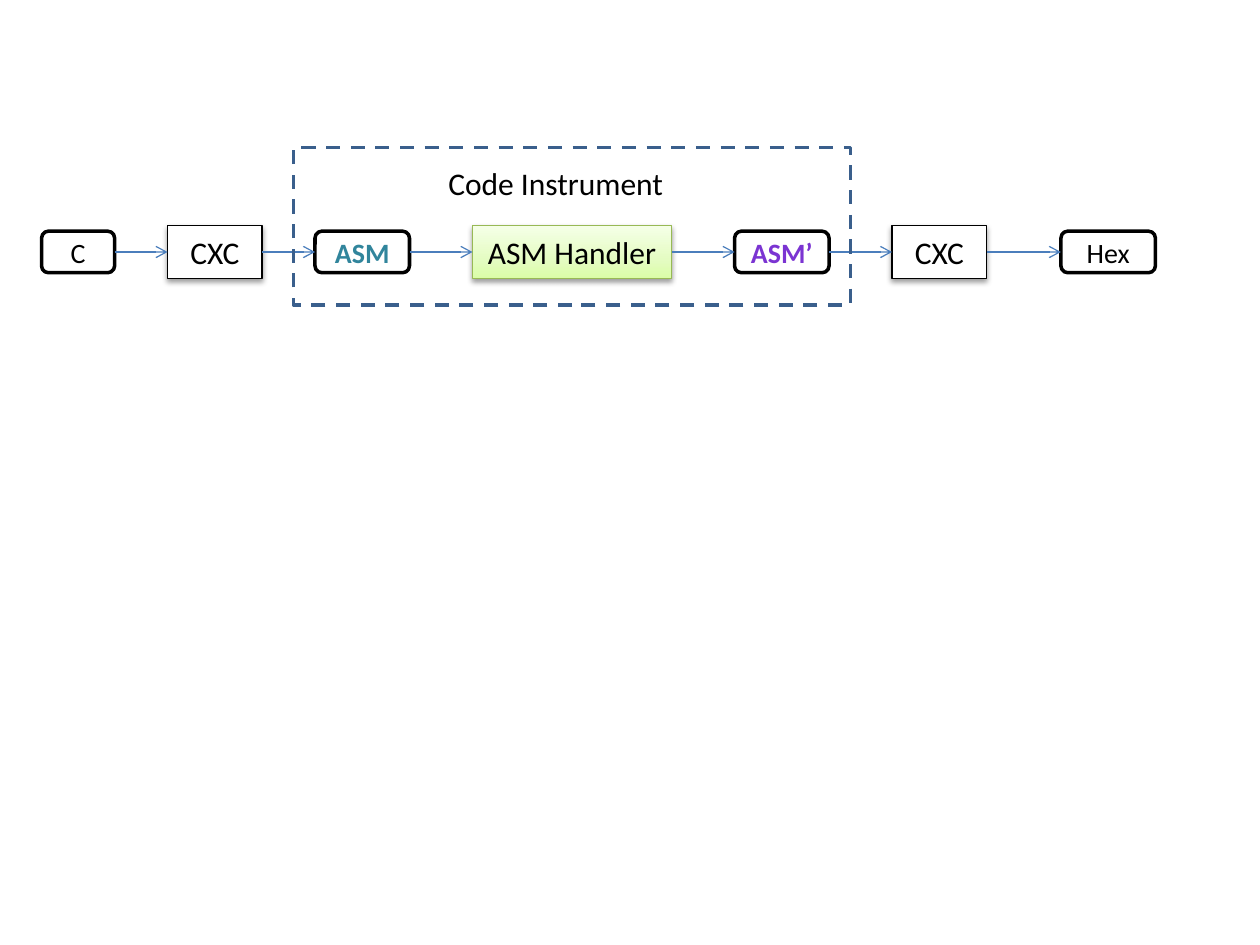
from pptx import Presentation
from pptx.dml.color import RGBColor
from pptx.enum.dml import MSO_LINE
from pptx.enum.shapes import MSO_CONNECTOR, MSO_SHAPE
from pptx.enum.text import MSO_ANCHOR, PP_ALIGN
from pptx.oxml import parse_xml
from pptx.oxml.ns import nsdecls
from pptx.util import Inches, Pt

RECTANGLE, ROUNDED = MSO_SHAPE.RECTANGLE, MSO_SHAPE.ROUNDED_RECTANGLE
STRAIGHT, DASH = MSO_CONNECTOR.STRAIGHT, MSO_LINE.DASH
CENTER, MIDDLE = PP_ALIGN.CENTER, MSO_ANCHOR.MIDDLE


class Theme:
    font = "Calibri"
    file_size, tool_size = Pt(16), Pt(18)
    black = RGBColor.from_string("000000")
    white = RGBColor.from_string("FFFFFF")
    teal = RGBColor.from_string("31859C")
    arrow = RGBColor.from_string("4B7EBC")
    frame = RGBColor.from_string("3A5F8C")
    handler_line = RGBColor.from_string("98B955")
    text_outline = "5E457C"
    green_stops = [(0, "DAFDA7"), (35, "E4FCC2"), (100, "F5FFE7")]
    purple_stops = [(0, "3D1B67"), (43, "7B34D2"), (48, "7330C4"), (100, "3D1B67")]


def drawing_xml(tag, body, attributes=""):
    """Return a DrawingML element with the given inner XML."""
    return parse_xml(f"<a:{tag} {nsdecls('a')} {attributes}>{body}</a:{tag}>")


def gradient(stops, angle):
    stop_xml = "".join(
        f'<a:gs pos="{position * 1000}"><a:srgbClr val="{color}"/></a:gs>'
        for position, color in stops
    )
    return drawing_xml(
        "gradFill",
        f'<a:gsLst>{stop_xml}</a:gsLst><a:lin ang="{angle * 60000}" scaled="0"/>',
        'rotWithShape="1"',
    )


presentation = Presentation()
presentation.slide_width, presentation.slide_height = Inches(10), Inches(7.5)
slide = presentation.slides.add_slide(presentation.slide_layouts[6])

# Pipeline: text, left, width, is a tool (otherwise a file)
compiler = "CXC"
steps = [
    ("C", 0.33, 0.58, False),
    (compiler, 1.33, 0.75, True),
    ("ASM", 2.5, 0.75, False),
    ("ASM Handler", 3.75, 1.58, True),
    ("ASM’", 5.83, 0.75, False),
    (compiler, 7.08, 0.75, True),
    ("Hex", 8.42, 0.75, False),
]
axis = 2

for text, left, width, is_tool in steps:
    height = 0.42 if is_tool else 0.33
    shape = slide.shapes.add_shape(
        RECTANGLE if is_tool else ROUNDED,
        Inches(left), Inches(axis - height / 2), Inches(width), Inches(height),
    )
    shape.shadow.inherit = False
    shape.line.color.rgb = Theme.black
    shape.line.width = Pt(0.75 if is_tool else 2)
    shape.fill.solid()
    shape.fill.fore_color.rgb = Theme.white

    frame = shape.text_frame
    frame.word_wrap = True
    frame.vertical_anchor = MIDDLE
    paragraph = frame.paragraphs[0]
    paragraph.alignment = CENTER
    run = paragraph.add_run()
    run.text = text
    paragraph.font.name = Theme.font
    paragraph.font.size = Theme.tool_size if is_tool else Theme.file_size
    paragraph.font.color.rgb = Theme.black

    properties = shape._element.spPr
    if is_tool:
        properties.find("{*}effectLst").append(drawing_xml(
            "outerShdw",
            '<a:srgbClr val="000000"><a:alpha val="38000"/></a:srgbClr>',
            'blurRad="40000" dist="20000" dir="5400000" rotWithShape="0"',
        ))
    if text == "ASM Handler":
        shape.line.color.rgb = Theme.handler_line
        solid_fill = properties.find("{*}solidFill")
        properties.replace(solid_fill, gradient(Theme.green_stops, 270))
    if text.startswith("ASM") and not is_tool:
        paragraph.font.bold = True
        run_properties = run._r.get_or_add_rPr()
        if text == "ASM":
            run.font.color.rgb = Theme.teal
        else:
            run_properties.append(gradient(Theme.purple_stops, 90))
        run_properties.insert(0, drawing_xml(
            "ln",
            f'<a:solidFill><a:srgbClr val="{Theme.text_outline}"/></a:solidFill>',
            'w="9000"',
        ))

for (_, left, width, _), (_, next_left, _, _) in zip(steps, steps[1:]):
    arrow = slide.shapes.add_connector(
        STRAIGHT, Inches(left + width), Inches(axis), Inches(next_left), Inches(axis)
    )
    arrow.line.color.rgb = Theme.arrow
    arrow.line.width = Pt(0.75)
    arrow.line._get_or_add_ln().append(drawing_xml("tailEnd", "", 'type="arrow"'))
    arrow._element.spPr.append(drawing_xml("effectLst", ""))

instrument_frame = slide.shapes.add_shape(
    RECTANGLE, Inches(2.33), Inches(1.17), Inches(4.42), Inches(1.25)
)
instrument_frame.shadow.inherit = False
instrument_frame.fill.background()
instrument_frame.line.color.rgb = Theme.frame
instrument_frame.line.width = Pt(2)
instrument_frame.line.dash_style = DASH

label = slide.shapes.add_textbox(Inches(3.46), Inches(1.25), Inches(2.17), Inches(0.42))
label.text_frame.word_wrap = True
paragraph = label.text_frame.paragraphs[0]
paragraph.text = "Code Instrument"
paragraph.font.name = Theme.font
paragraph.font.size = Theme.tool_size
paragraph.font.color.rgb = Theme.black

presentation.save("out.pptx")
